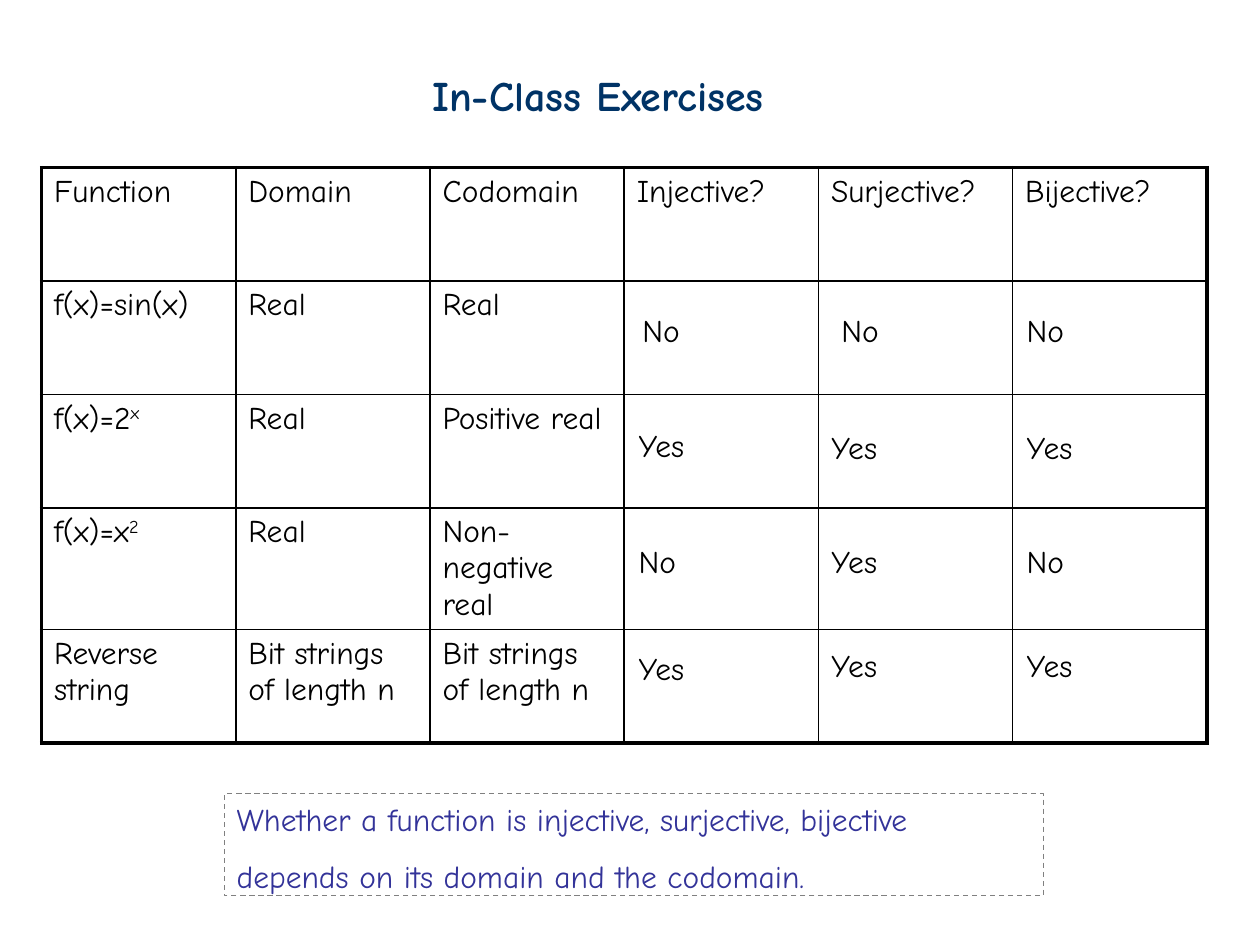
from lxml import etree
from pptx import Presentation, util as u
from pptx.dml.color import RGBColor
from pptx.enum import dml, shapes, text
from pptx.oxml.ns import qn

FONT = "Comic Neue"
BLACK, NAVY, INDIGO, GREY = "000000", "003366", "333399", "808080"
TABLE_LEFT, TABLE_TOP, TABLE_WIDTH, ROW_HEIGHT = 0.33, 1.33, 9.25, 0.9

# A caret marks the start of a superscript.
ROWS = [
    ["Function", "Domain", "Codomain", "Injective?", "Surjective?", "Bijective?"],
    ["f(x)=sin(x)", "Real", "Real"],
    ["f(x)=2^x", "Real", "Positive real"],
    ["f(x)=x^2", "Real", "Non-negative real"],
    ["Reverse string", "Bit strings of length n", "Bit strings of length n"],
]
# Word, left and top of each answer, one line per function.
ANSWERS = [
    [("No", 5, 2.42), ("No", 6.58, 2.42), ("No", 8.05, 2.42)],
    [("Yes", 4.97, 3.33), ("Yes", 6.5, 3.35), ("Yes", 8.05, 3.35)],
    [("No", 4.97, 4.25), ("Yes", 6.5, 4.25), ("No", 8.05, 4.25)],
    [("Yes", 4.97, 5.1), ("Yes", 6.5, 5.08), ("Yes", 8.05, 5.08)],
]


def rgb(hex_color):
    return RGBColor.from_string(hex_color)


def format_text(frame, size, color, bold=False):
    frame.vertical_anchor = text.MSO_ANCHOR.TOP
    for paragraph in frame.paragraphs:
        paragraph.alignment = text.PP_ALIGN.LEFT
        for run in paragraph.runs:
            run.font.name = FONT
            run.font.size = u.Pt(size)
            run.font.bold = bold
            run.font.color.rgb = rgb(color)


def add_title(slide, wording):
    title = slide.shapes.title
    title.left, title.top = u.Inches(3.33), u.Inches(0.5)
    title.width, title.height = u.Inches(3.24), u.Inches(0.5)
    title.text_frame.text = wording
    title.text_frame.word_wrap = True
    format_text(title.text_frame, 24, NAVY, bold=True)


def set_border(cell, side, points):
    line = etree.SubElement(cell._tc.get_or_add_tcPr(), qn(f"a:{side}"),
                            w=str(u.Pt(points)))
    fill = etree.SubElement(line, qn("a:solidFill"))
    etree.SubElement(fill, qn("a:srgbClr"), val=BLACK)


def fill_cell(cell, wording):
    base, _, superscript = wording.partition("^")
    paragraph = cell.text_frame.paragraphs[0]
    paragraph.text = base
    if superscript:
        raised = paragraph.add_run()
        raised.text = superscript
        raised.font._element.set("baseline", "30000")
    format_text(cell.text_frame, 18, BLACK)


def add_function_table(slide):
    row_count, column_count = len(ROWS), len(ROWS[0])
    table = slide.shapes.add_table(
        row_count, column_count, u.Inches(TABLE_LEFT), u.Inches(TABLE_TOP),
        u.Inches(TABLE_WIDTH), u.Inches(ROW_HEIGHT * row_count)).table
    table.first_row = table.horz_banding = False
    for r, wordings in enumerate(ROWS):
        for c in range(column_count):
            cell = table.cell(r, c)
            outer_sides = {"lnL": c == 0, "lnR": c == column_count - 1,
                           "lnT": r == 0, "lnB": r == row_count - 1}
            for side, is_outer in outer_sides.items():
                set_border(cell, side, 2.25 if is_outer else 1)
            cell.fill.background()
            if c < len(wordings):
                fill_cell(cell, wordings[c])


def add_answer(slide, word, left, top):
    width = 0.53 if word == "No" else 0.62
    answer = slide.shapes.add_textbox(u.Inches(left), u.Inches(top),
                                      u.Inches(width), u.Inches(0.4))
    answer.text_frame.text = word
    answer.text_frame.word_wrap = False
    format_text(answer.text_frame, 18, BLACK)


def add_conclusion(slide, wording):
    box = slide.shapes.add_shape(shapes.MSO_SHAPE.RECTANGLE, u.Inches(1.78),
                                 u.Inches(6.3), u.Inches(6.5), u.Inches(0.81))
    box.shadow.inherit = False
    box.fill.background()
    box.line.color.rgb = rgb(GREY)
    box.line.width = u.Pt(0.75)
    box.line.dash_style = dml.MSO_LINE.DASH
    box.text_frame.text = wording
    box.text_frame.word_wrap = True
    box.text_frame.paragraphs[1].line_spacing = 1.5
    format_text(box.text_frame, 18, INDIGO)


def main():
    deck = Presentation()
    deck.slide_width, deck.slide_height = u.Inches(10), u.Inches(7.5)
    slide = deck.slides.add_slide(deck.slide_layouts.get_by_name("Title Only"))
    add_title(slide, "In-Class Exercises")
    add_function_table(slide)
    add_conclusion(slide, "Whether a function is injective, surjective, bijective\n"
                          "depends on its domain and the codomain.")
    for answers in ANSWERS:
        for word, left, top in answers:
            add_answer(slide, word, left, top)
    deck.save("out.pptx")


if __name__ == "__main__":
    main()
